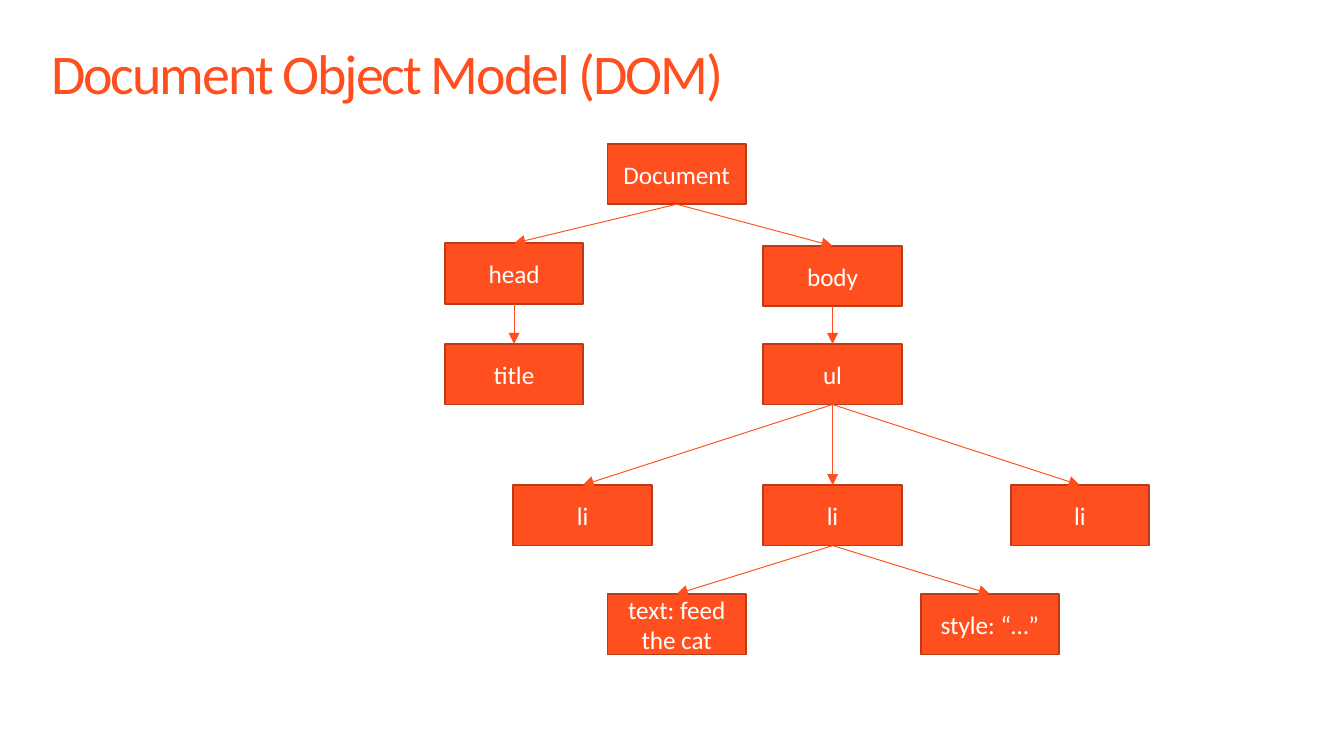
from lxml import etree
from pptx import Presentation
from pptx.dml.color import RGBColor
from pptx.enum.shapes import MSO_CONNECTOR, MSO_SHAPE
from pptx.enum.text import MSO_ANCHOR, PP_ALIGN
from pptx.oxml.ns import qn
from pptx.util import Inches, Pt

# Content: node key -> (label, column, row)
HEADING = "Document Object Model (DOM)"
NODES = {
    "document": ("Document", "center-left", "root"),
    "body": ("body", "main", "body"),
    "head": ("head", "head", "head"),
    "title": ("title", "head", "elements"),
    "ul": ("ul", "main", "elements"),
    "li 1": ("li", "first item", "items"),
    "li 2": ("li", "main", "items"),
    "li 3": ("li", "last item", "items"),
    "text": ("text: feed the cat", "center-left", "leaves"),
    "style": ("style: “…”", "center-right", "leaves"),
}
CHILDREN = {
    "document": ["head", "body"],
    "head": ["title"],
    "body": ["ul"],
    "ul": ["li 1", "li 2", "li 3"],
    "li 2": ["text", "style"],
}

# Grid and style
SLIDE_WIDTH = 10
SLIDE_HEIGHT = SLIDE_WIDTH * 9 / 16
COLUMNS = {"head": 3.31, "first item": 3.82, "center-left": 4.52,
           "main": 5.68, "center-right": 6.85, "last item": 7.52}
ROWS = {"root": 1.07, "head": 1.81, "body": 1.83, "elements": 2.56,
        "items": 3.61, "leaves": 4.42}
NODE_WIDTH, NODE_HEIGHT = 1.03, 0.45
TOP, BOTTOM = 0, 2  # connection sites of a rectangle
COLORS = {"accent": "FF4F1F", "border": "BD3A17", "label": "FFFFFF"}
FONT = "Calibri"


def color(name):
    return RGBColor.from_string(COLORS[name])


def style_text(paragraph, size, color_name):
    paragraph.font.name = FONT
    paragraph.font.size = Pt(size)
    paragraph.font.color.rgb = color(color_name)


def add_node(slide, label, column, row):
    node = slide.shapes.add_shape(
        MSO_SHAPE.RECTANGLE, Inches(COLUMNS[column]), Inches(ROWS[row]),
        Inches(NODE_WIDTH), Inches(NODE_HEIGHT))
    node.shadow.inherit = False
    node.fill.solid()
    node.fill.fore_color.rgb = color("accent")
    node.line.color.rgb = color("border")
    node.line.width = Pt(1)
    frame = node.text_frame
    frame.word_wrap = True
    frame.vertical_anchor = MSO_ANCHOR.MIDDLE
    frame.text = label
    frame.paragraphs[0].alignment = PP_ALIGN.CENTER
    style_text(frame.paragraphs[0], 13.5, "label")
    return node


def add_arrow(slide, parent, child):
    arrow = slide.shapes.add_connector(MSO_CONNECTOR.STRAIGHT, 0, 0, 0, 0)
    arrow.begin_connect(parent, BOTTOM)
    arrow.end_connect(child, TOP)
    arrow.line.color.rgb = color("accent")
    arrow.line.width = Pt(0.5)
    properties = arrow._element.spPr
    etree.SubElement(properties.find(qn("a:ln")), qn("a:tailEnd"), type="triangle")
    etree.SubElement(properties, qn("a:effectLst"))


prs = Presentation()
prs.slide_width, prs.slide_height = Inches(SLIDE_WIDTH), Inches(SLIDE_HEIGHT)
slide = prs.slides.add_slide(prs.slide_layouts[5])

# Heading
heading = slide.shapes.title
heading.left, heading.top = Inches(0.38), Inches(0.34)
heading.width, heading.height = Inches(9.25), Inches(0.64)
frame = heading.text_frame
frame.text = HEADING
frame.word_wrap = True
frame.vertical_anchor = MSO_ANCHOR.TOP
frame.margin_left = frame.margin_right = frame.margin_top = frame.margin_bottom = 0
heading_line = frame.paragraphs[0]
heading_line.alignment = PP_ALIGN.LEFT
heading_line.line_spacing = 0.9
style_text(heading_line, 30, "accent")
heading_line.runs[0]._r.get_or_add_rPr().set("spc", "-110")

# Tree
nodes = {key: add_node(slide, *node) for key, node in NODES.items()}
for parent, children in CHILDREN.items():
    for child in children:
        add_arrow(slide, nodes[parent], nodes[child])

prs.save("out.pptx")
